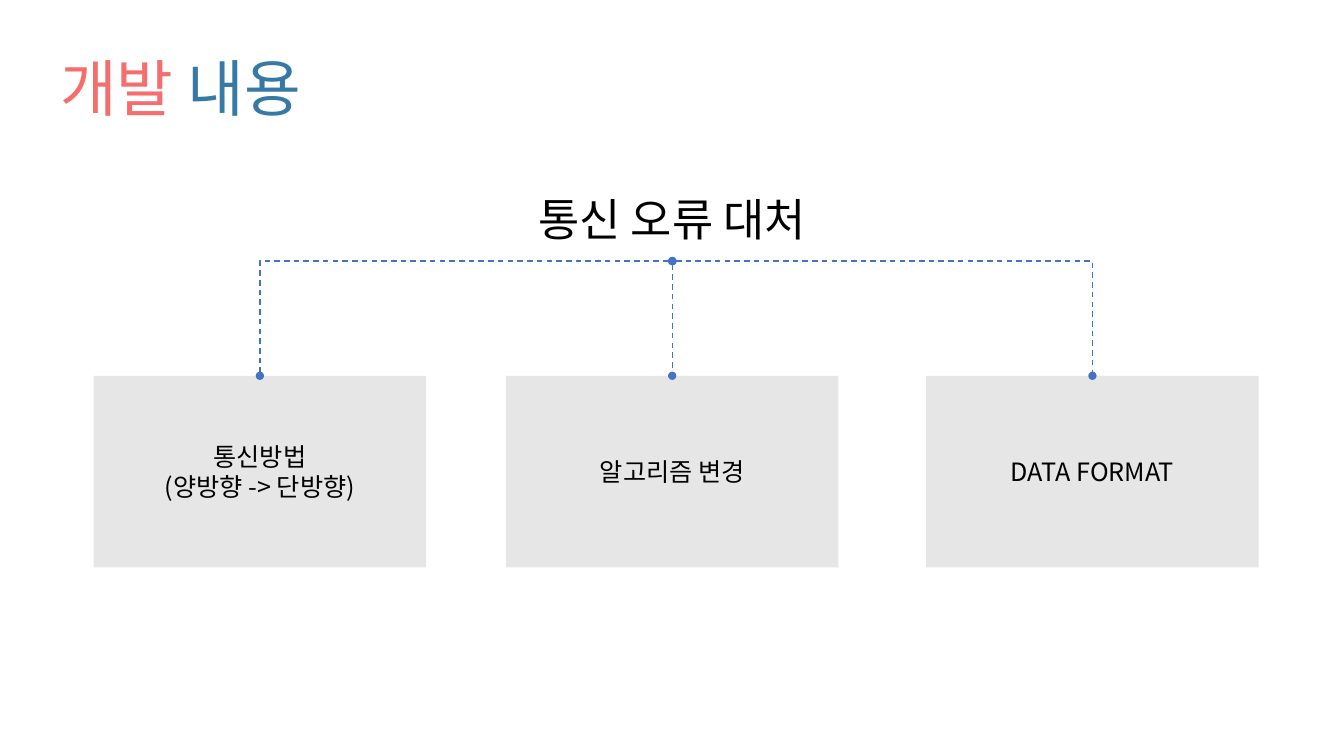
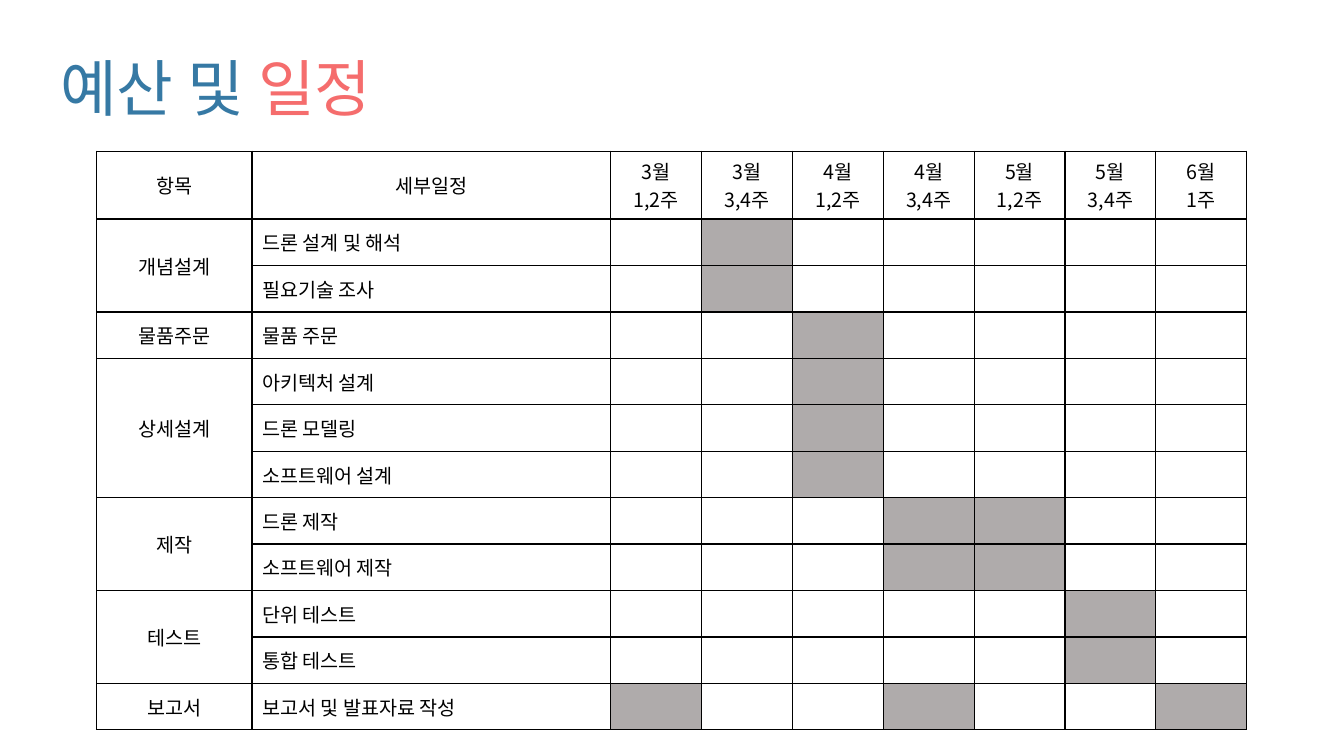
from lxml import etree
from pptx import Presentation
from pptx import util as u
from pptx.dml import color
from pptx.enum import dml, shapes, text
from pptx.oxml import ns

COLOURS = {
    "coral": "F56D6D",
    "blue": "3679A4",
    "line": "4472C4",
    "box": "E7E6E6",
    "bar": "AFABAB",
    "ink": "000000",
}
FONT = "Noto Sans CJK KR"
CENTER = text.PP_ALIGN.CENTER
LEFT = text.PP_ALIGN.LEFT
MIDDLE = text.MSO_ANCHOR.MIDDLE

TOPIC = "통신 오류 대처"
MEASURES = [
    (2.36, ["통신방법", "(양방향 -> 단방향)"]),
    (12.75, ["알고리즘 변경"]),
    (23.34, ["DATA FORMAT"]),
]
PERIODS = [
    ["3월", "1,2주"],
    ["3월", "3,4주"],
    ["4월", "1,2주"],
    ["4월", "3,4주"],
    ["5월", "1,2주"],
    ["5월", "3,4주"],
    ["6월", "1주"],
]
STAGES = [
    ("개념설계", ["드론 설계 및 해석", "필요기술 조사"], {1}),
    ("물품주문", ["물품 주문"], {2}),
    ("상세설계", ["아키텍처 설계", "드론 모델링", "소프트웨어 설계"], {2}),
    ("제작", ["드론 제작", "소프트웨어 제작"], {3, 4}),
    ("테스트", ["단위 테스트", "통합 테스트"], {5}),
    ("보고서", ["보고서 및 발표자료 작성"], {0, 3, 6}),
]


def rgb(name):
    return color.RGBColor.from_string(COLOURS[name])


def set_all(target, values):
    for name, value in values.items():
        setattr(target, name, value)


def add_element(parent, tag, **attributes):
    return etree.SubElement(parent, ns.qn(tag), attributes)


def add_span(para, words, size, colour="ink"):
    span = para.add_run()
    span.text = words
    set_all(span.font, {"size": u.Pt(size), "name": FONT})
    span.font.color.rgb = rgb(colour)
    add_element(span.font._element, "a:ea", typeface=FONT)


def write_lines(frame, lines, size, align):
    for index, line in enumerate(lines):
        para = frame.add_paragraph() if index else frame.paragraphs[0]
        para.alignment = align
        add_span(para, line, size)


def add_title(page, spans):
    frame = page.shapes.add_textbox(u.Cm(1.27), u.Cm(0.48), u.Cm(29.21), u.Cm(3.68)).text_frame
    set_all(frame, {"word_wrap": True, "vertical_anchor": MIDDLE})
    para = frame.paragraphs[0]
    para.line_spacing = 0.9
    for words, colour in spans:
        add_span(para, words, 44, colour)


def add_measure(page, left, top, width, height, lines):
    box = page.shapes.add_shape(shapes.MSO_SHAPE.RECTANGLE, left, top, width, height)
    box.shadow.inherit = False
    box.fill.solid()
    box.fill.fore_color.rgb = rgb("box")
    box.line.fill.background()
    set_all(box.text_frame, {"word_wrap": True, "vertical_anchor": MIDDLE})
    write_lines(box.text_frame, lines, 18, CENTER)
    return box


def add_branch(page, x, y, box):
    box_x = box.left + box.width // 2
    straight = abs(box_x - x) < u.Cm(0.1)
    kind = shapes.MSO_CONNECTOR.STRAIGHT if straight else shapes.MSO_CONNECTOR.ELBOW
    branch = page.shapes.add_connector(kind, box_x if straight else x, y, box_x, box.top)
    branch.end_connect(box, 0)
    set_all(branch.line, {"width": u.Pt(1), "dash_style": dml.MSO_LINE.DASH})
    branch.line.color.rgb = rgb("line")
    properties = branch._element.spPr
    if not straight:
        properties.find(ns.qn("a:prstGeom")).set("prst", "bentConnector2")
    outline = properties.find(ns.qn("a:ln"))
    for end in ("a:headEnd", "a:tailEnd"):
        add_element(outline, end, type="oval")
    add_element(properties, "a:effectLst")


def add_topic_tree(page, left, top, width):
    frame = page.shapes.add_textbox(left, top, width, u.Cm(1.57)).text_frame
    frame.word_wrap = True
    write_lines(frame, [TOPIC], 32, CENTER)
    for box_left, lines in MEASURES:
        box = add_measure(page, u.Cm(box_left), top + u.Cm(4.77), u.Cm(8.38), u.Cm(4.83), lines)
        add_branch(page, left + width // 2, top + u.Cm(1.88), box)


def fill_cell(cell, lines=(), align=CENTER, busy=False):
    cell.vertical_anchor = MIDDLE
    properties = cell._tc.get_or_add_tcPr()
    for side in ("a:lnL", "a:lnR", "a:lnT", "a:lnB"):
        border = add_element(properties, side, w=str(u.Pt(1)))
        paint = add_element(border, "a:solidFill")
        add_element(paint, "a:srgbClr", val=COLOURS["ink"])
    if busy:
        cell.fill.solid()
        cell.fill.fore_color.rgb = rgb("bar")
    else:
        cell.fill.background()
    write_lines(cell.text_frame, lines, 14, align)


def add_schedule(page, left, top):
    widths = [3.91, 9.04] + [2.29] * len(PERIODS)
    heights = [1.71] + [1.17] * sum(len(tasks) for _, tasks, _ in STAGES)
    frame = page.shapes.add_table(
        len(heights), len(widths), left, top, u.Cm(sum(widths)), u.Cm(sum(heights))
    )
    table = frame.table
    set_all(table, {"first_row": False, "horz_banding": False})
    for column, width in zip(table.columns, widths):
        column.width = u.Cm(width)
    for row, height in zip(table.rows, heights):
        row.height = u.Cm(height)
    for column, lines in enumerate([["항목"], ["세부일정"]] + PERIODS):
        fill_cell(table.cell(0, column), lines)
    row = 1
    for stage, tasks, busy in STAGES:
        for offset, task in enumerate(tasks):
            fill_cell(table.cell(row + offset, 0), [] if offset else [stage])
            fill_cell(table.cell(row + offset, 1), [task], LEFT)
            for period in range(len(PERIODS)):
                fill_cell(table.cell(row + offset, period + 2), busy=period in busy)
        last = row + len(tasks) - 1
        if last > row:
            table.cell(row, 0).merge(table.cell(last, 0))
        row = last + 1


def main():
    deck = Presentation()
    set_all(deck, {"slide_width": u.Cm(33.87), "slide_height": u.Cm(19.05)})
    blank = deck.slide_layouts[6]

    page = deck.slides.add_slide(blank)
    add_title(page, [("개발", "coral"), (" 내용", "blue")])
    add_topic_tree(page, u.Cm(12.12), u.Cm(4.7), u.Cm(9.65))

    page = deck.slides.add_slide(blank)
    add_title(page, [("예산 및 ", "blue"), ("일정", "coral")])
    add_schedule(page, u.Cm(2.44), u.Cm(3.81))

    deck.save("out.pptx")


if __name__ == "__main__":
    main()
